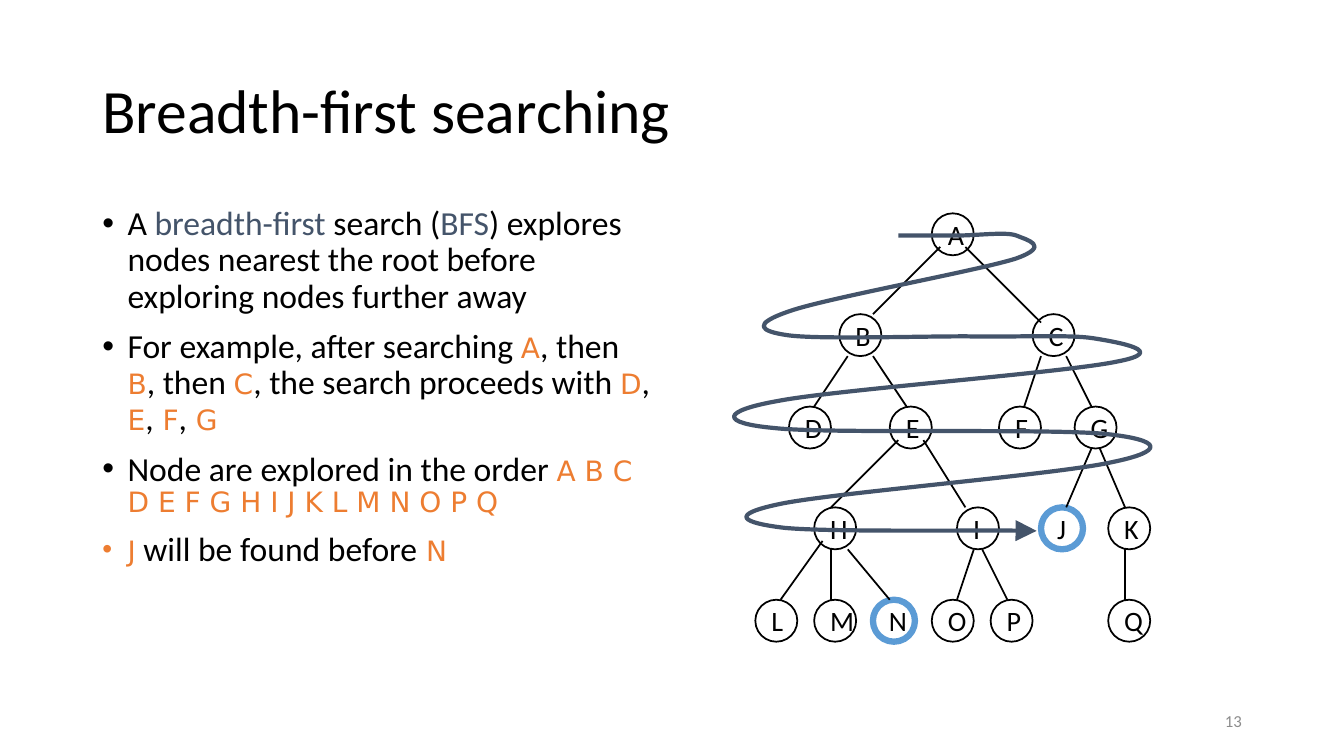
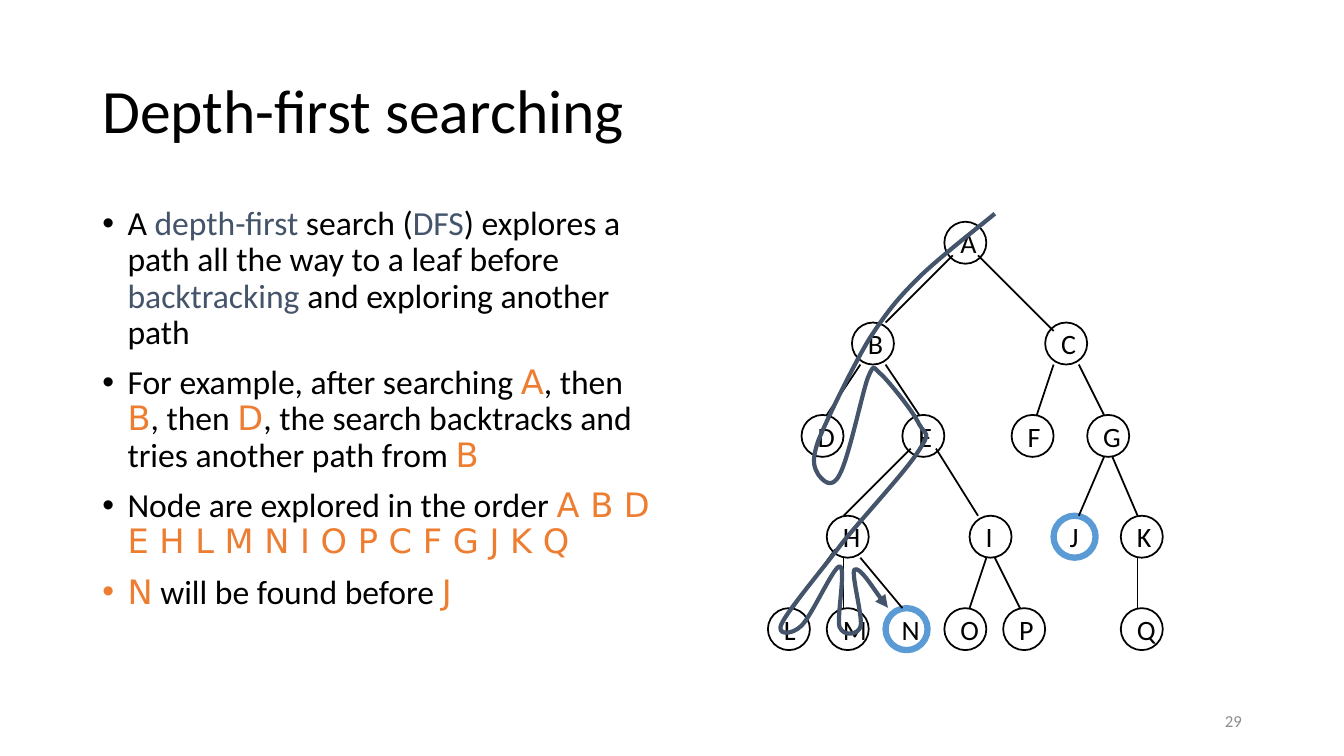
from lxml import etree
from pptx import Presentation
from pptx.dml.color import RGBColor
from pptx.enum.shapes import MSO_CONNECTOR, MSO_SHAPE
from pptx.enum.text import MSO_ANCHOR, PP_ALIGN
from pptx.oxml.ns import qn
from pptx.util import Emu, Inches, Pt

ELLIPSE = MSO_SHAPE.OVAL
STRAIGHT = MSO_CONNECTOR.STRAIGHT
LEFT, RIGHT = PP_ALIGN.LEFT, PP_ALIGN.RIGHT
MIDDLE, TOP = MSO_ANCHOR.MIDDLE, MSO_ANCHOR.TOP

COLOURS = {
    "text": "000000",
    "accent": "44546A",
    "node": "ED7D31",
    "target": "5B9BD5",
    "number": "8C8C8C",
}
TEXT_FONT, NODE_FONT = "Calibri", "DejaVu Sans"

CELLS_PER_INCH = 12
TITLE_BOX = (11, 4.8, 138, 17.4)
BODY_BOX = (11, 24, 68, 57.1)
NUMBER_BOX = (113, 83.4, 36, 4.8)

NODE_SIZE = 5
TARGETS = "JN"
NODES = {
    "L": (0, 46), "M": (7, 46), "N": (14, 46), "O": (21, 46), "P": (28, 46),
    "G": (38, 23), "Q": (42, 46), "H": (7, 35), "J": (34, 35), "I": (24, 35),
    "K": (42, 35), "F": (29, 23), "E": (16, 23), "D": (4, 23), "B": (10, 12),
    "C": (33, 12), "A": (21, 0),
}
EDGES = [
    (14, 12, 22, 4), (25, 4, 34, 13), (11, 17, 7, 23), (14, 17, 18, 23),
    (34, 17, 32, 23), (37, 17, 40, 23), (9, 35, 17, 27), (25, 35, 20, 27),
    (37, 35, 40, 28), (44, 35, 41, 28), (3, 46, 8, 39), (9, 46, 9, 40),
    (16, 46, 11, 40), (24, 46, 26, 40), (30, 46, 27, 40), (44, 46, 44, 40),
]

BREADTH = {
    "title": "Breadth-first searching",
    "number": "13",
    "node_size": 20,
    "bullets": [
        [("text", "A "), ("accent", "breadth-first"), ("text", " search ("),
         ("accent", "BFS"),
         ("text", ") explores nodes nearest the root before exploring nodes further away")],
        [("text", "For example, after searching "), ("node", "A"),
         ("text", ", then "), ("node", "B"), ("text", ", then "), ("node", "C"),
         ("text", ", the search proceeds with "), ("node", "D"), ("text", ","),
         ("node", " E"), ("text", ","), ("node", " F"), ("text", ","), ("node", " G")],
        [("text", "Node are explored in the order "),
         ("node", "A B C D E F G H I J K L M N O P Q")],
        [("node", "J"), ("text", " will be found before"), ("node", " N")],
    ],
    "tree_corner": (89.9, 25.4),
    "arrow_size": "lg",
    "walk_start": (1.42, 0.22),
    "walk_curves": [
        (1.52, 0.22, 1.81, 0.22, 2.00, 0.22), (2.20, 0.22, 2.49, 0.18, 2.59, 0.22),
        (2.68, 0.26, 2.95, 0.32, 2.58, 0.45), (2.20, 0.57, 0.71, 0.84, 0.34, 0.97),
        (-0.04, 1.10, 0.04, 1.17, 0.33, 1.21), (0.63, 1.25, 1.58, 1.22, 2.09, 1.22),
        (2.59, 1.23, 3.11, 1.20, 3.36, 1.24), (3.61, 1.28, 4.11, 1.37, 3.59, 1.47),
        (3.07, 1.58, 0.80, 1.75, 0.23, 1.86), (-0.34, 1.96, -0.36, 2.08, 0.19, 2.13),
        (0.73, 2.19, 2.93, 2.13, 3.49, 2.19), (4.04, 2.25, 4.07, 2.36, 3.53, 2.47),
        (2.99, 2.59, 0.80, 2.77, 0.26, 2.88), (-0.28, 2.99, -0.13, 3.07, 0.29, 3.12),
        (0.71, 3.16, 2.27, 3.14, 2.79, 3.15),
    ],
}
DEPTH = {
    "title": "Depth-first searching",
    "number": "29",
    "node_size": 24,
    "bullets": [
        [("text", "A "), ("accent", "depth-first"), ("text", " search ("),
         ("accent", "DFS"), ("text", ") explores a path all the way to a leaf before "),
         ("accent", "backtracking"), ("text", " and exploring another path")],
        [("text", "For example, after searching "), ("node", "A"),
         ("text", ", then "), ("node", "B"), ("text", ", then "), ("node", "D"),
         ("text", ", the search backtracks and tries another path from "), ("node", "B")],
        [("text", "Node are explored in the order "),
         ("node", "A B D E H L M N I O P C F G J K Q")],
        [("node", "N"), ("text", " will be found before "), ("node", "J")],
    ],
    "tree_corner": (91.4, 26.4),
    "arrow_size": "med",
    "walk_start": (2.25, -0.08),
    "walk_curves": [
        (2.12, 0.03, 1.69, 0.36, 1.48, 0.57), (1.27, 0.78, 1.17, 0.91, 1.00, 1.17),
        (0.84, 1.44, 0.59, 1.95, 0.50, 2.17), (0.42, 2.40, 0.47, 2.45, 0.50, 2.51),
        (0.54, 2.56, 0.63, 2.67, 0.71, 2.51), (0.80, 2.35, 0.93, 1.72, 0.99, 1.55),
        (1.06, 1.39, 1.04, 1.45, 1.13, 1.52), (1.21, 1.60, 1.44, 1.88, 1.50, 2.01),
        (1.57, 2.13, 1.62, 2.08, 1.49, 2.28), (1.37, 2.47, 0.98, 2.89, 0.75, 3.17),
        (0.53, 3.46, 0.21, 3.84, 0.14, 3.98), (0.07, 4.11, 0.24, 4.10, 0.33, 4.01),
        (0.43, 3.92, 0.65, 3.42, 0.71, 3.42), (0.78, 3.42, 0.68, 3.92, 0.71, 4.02),
        (0.75, 4.12, 0.90, 4.10, 0.92, 4.01), (0.94, 3.91, 0.82, 3.48, 0.86, 3.45),
        (0.91, 3.42, 1.12, 3.75, 1.19, 3.83),
    ],
}


def cells(count):
    """Turn a number of grid cells into a length."""
    return Inches(count / CELLS_PER_INCH)


def colour(name):
    """Look up a palette colour."""
    return RGBColor.from_string(COLOURS[name])


def add_span(para, text, size, tone="text", font=TEXT_FONT):
    """Add one styled run to a paragraph."""
    span = para.add_run()
    span.text = text
    span.font.size = Pt(size)
    span.font.name = font
    span.font.color.rgb = colour(tone)


def set_line(shape, tone, width):
    """Give a shape or connector a solid line."""
    shape.line.color.rgb = colour(tone)
    shape.line.width = Pt(width)


def add_frame(page, box, anchor):
    """Add a wrapping text box and return its text frame."""
    frame = page.shapes.add_textbox(*map(cells, box)).text_frame
    frame.word_wrap = True
    frame.vertical_anchor = anchor
    return frame


def add_title(page, box, text):
    """Write the slide title."""
    para = add_frame(page, box, MIDDLE).paragraphs[0]
    para.line_spacing = 0.9
    add_span(para, text, 44)


def add_bullets(page, box, bullets, node_size):
    """Write the bulleted explanation."""
    frame = add_frame(page, box, TOP)
    for index, spans in enumerate(bullets):
        para = frame.add_paragraph() if index else frame.paragraphs[0]
        para.line_spacing = 0.9
        para.space_before = Pt(10 if index else 0)
        properties = para._p.get_or_add_pPr()
        properties.set("marL", str(Inches(0.25)))
        properties.set("indent", str(-Inches(0.25)))
        etree.SubElement(properties, qn("a:buFont"), typeface="Arial")
        etree.SubElement(properties, qn("a:buChar"), char="•")
        for tone, text in spans:
            if tone == "node":
                add_span(para, text, node_size, tone, NODE_FONT)
            else:
                add_span(para, text, 24, tone)


def add_number(page, box, text):
    """Write the page number."""
    para = add_frame(page, box, MIDDLE).paragraphs[0]
    para.alignment = RIGHT
    add_span(para, text, 12, "number")


def add_tree(page, corner):
    """Draw the lettered nodes and their edges from a top left corner."""
    left, top = corner
    tree = page.shapes.add_group_shape().shapes
    for letter, (column, row) in NODES.items():
        node = tree.add_shape(ELLIPSE, cells(left + column), cells(top + row),
                              cells(NODE_SIZE), cells(NODE_SIZE))
        node.shadow.inherit = False
        node.fill.background()
        if letter in TARGETS:
            set_line(node, "target", 4.5)
        else:
            set_line(node, "text", 1.25)
        node.text_frame.word_wrap = False
        node.text_frame.vertical_anchor = MIDDLE
        para = node.text_frame.paragraphs[0]
        para.alignment = LEFT
        add_span(para, letter, 20)
    for x1, y1, x2, y2 in EDGES:
        edge = tree.add_connector(STRAIGHT, cells(left + x1), cells(top + y1),
                                  cells(left + x2), cells(top + y2))
        set_line(edge, "text", 1.25)
        etree.SubElement(edge._element.spPr, qn("a:effectLst"))


def add_walk(page, corner, start, curves, arrow_size):
    """Draw the curved search route, in inches from the tree's corner."""
    left, top = map(cells, corner)

    def place(x, y):
        """Move a point from the tree to the slide."""
        return Emu(left + Inches(x)), Emu(top + Inches(y))

    points = [place(*curve[i:i + 2]) for curve in curves for i in (0, 2, 4)]
    builder = page.shapes.build_freeform(*place(*start))
    builder.add_line_segments(points, close=False)
    walk = builder.convert_to_shape()
    segments = list(walk._element.iter(qn("a:lnTo")))
    for first in range(0, len(segments), 3):
        curve = etree.Element(qn("a:cubicBezTo"))
        segments[first].addprevious(curve)
        for segment in segments[first:first + 3]:
            curve.append(segment[0])
            segment.getparent().remove(segment)
    walk.shadow.inherit = False
    walk.fill.background()
    set_line(walk, "accent", 3)
    etree.SubElement(walk.line._get_or_add_ln(), qn("a:tailEnd"),
                     type="triangle", w=arrow_size, len=arrow_size)


def add_search_page(deck, content):
    """Add one slide that explains a search beside its tree."""
    page = deck.slides.add_slide(deck.slide_layouts[6])
    add_title(page, TITLE_BOX, content["title"])
    add_bullets(page, BODY_BOX, content["bullets"], content["node_size"])
    add_tree(page, content["tree_corner"])
    add_walk(page, content["tree_corner"], content["walk_start"],
             content["walk_curves"], content["arrow_size"])
    add_number(page, NUMBER_BOX, content["number"])


def main():
    """Build and save the deck."""
    deck = Presentation()
    deck.slide_width, deck.slide_height = Inches(13.33), Inches(7.5)
    for content in (BREADTH, DEPTH):
        add_search_page(deck, content)
    deck.save("out.pptx")


if __name__ == "__main__":
    main()
